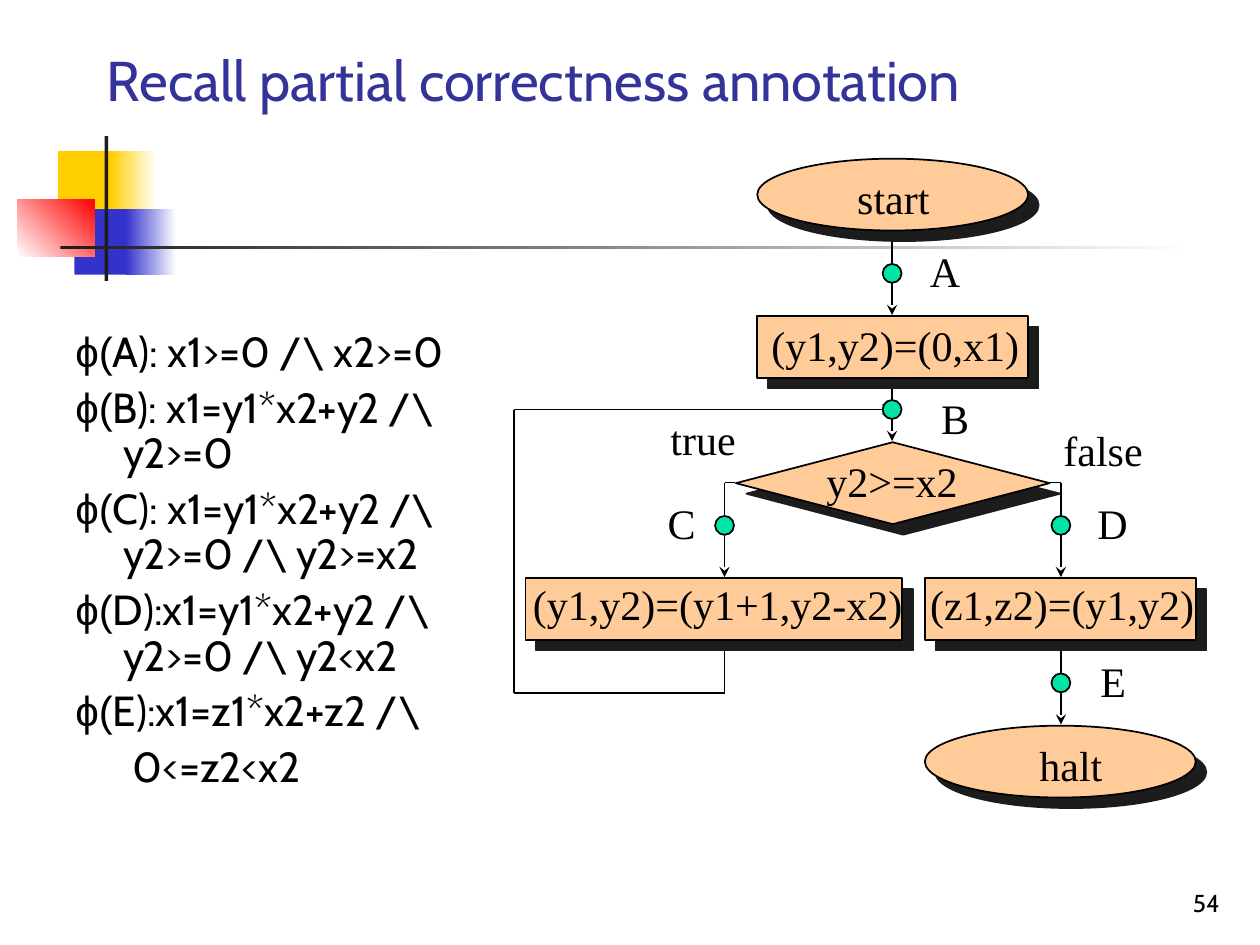
"""Build the slide on partial correctness annotation with its flowchart."""
import lxml.etree
import pptx
import pptx.dml.color
import pptx.enum.shapes
import pptx.enum.text
import pptx.oxml.ns
import pptx.util
from pptx.util import Inches

SHAPE = pptx.enum.shapes.MSO_SHAPE
ALIGN = pptx.enum.text.PP_ALIGN
ANCHOR = pptx.enum.text.MSO_ANCHOR

THEME = {
    "yellow": "FFCF01", "blue": "3333CC", "red": "FF0000", "white": "FFFFFF",
    "dark": "1C1C1C", "black": "000000", "title": "333399", "node": "FFCC99", "dot": "00E4A8",
    "sans": "Cabin", "serif": "Times New Roman", "symbol": "Arial",
    "title_size": 32, "text_size": 24, "number_size": 14,
}

TITLE = "Recall partial correctness annotation"
PAGE_NUMBER = "54"
ASSERTIONS = [
    "A): x1>=0 /\\ x2>=0",
    "B): x1=y1*x2+y2 /\\ y2>=0",
    "C): x1=y1*x2+y2 /\\ y2>=0 /\\ y2>=x2",
    "D):x1=y1*x2+y2 /\\ y2>=0 /\\ y2<x2",
    "E):x1=z1*x2+z2 /\\",
]
LAST_LINE = "0<=z2<x2"

DECORATION = [
    ((0.46, 1.2, 0.48, 0.52), ["yellow"], 0),
    ((0.88, 1.2, 0.36, 0.52), ["yellow", "white"], 0),
    ((0.59, 1.66, 0.46, 0.52), ["blue"], 0),
    ((1, 1.66, 0.4, 0.52), ["blue", "white"], 0),
    ((0.14, 1.58, 0.61, 0.46), ["white", "red"], 45),
    ((0.83, 1.08, 0.03, 1.15), ["dark"], 0),
    ((0.48, 1.95, 9, 0.03), ["dark", "white"], 0),
]

MAIN_X, TRUE_X, FALSE_X, LOOP_X = 7.08, 5.75, 8.42, 4.08
BRANCH_Y, BOX_TOP, BOX_BOTTOM, LOOP_Y = 3.83, 4.58, 5.08, 5.5
ROUTES = [
    ([(MAIN_X, 1.83), (MAIN_X, 2.5)], True),
    ([(MAIN_X, 3), (MAIN_X, 3.5)], True),
    ([(5.83, BRANCH_Y), (TRUE_X, BRANCH_Y), (TRUE_X, BOX_TOP)], True),
    ([(8.33, BRANCH_Y), (FALSE_X, BRANCH_Y), (FALSE_X, BOX_TOP)], True),
    ([(FALSE_X, BOX_BOTTOM), (FALSE_X, 5.75)], True),
    ([(TRUE_X, BOX_BOTTOM), (TRUE_X, LOOP_Y), (LOOP_X, LOOP_Y), (LOOP_X, 3.25), (MAIN_X, 3.25)], True),
]
NODES = [
    (SHAPE.OVAL, (6.01, 1.26, 2.15, 0.57)),
    (SHAPE.RECTANGLE, (6.01, 2.51, 2.15, 0.49)),
    (SHAPE.DIAMOND, (5.84, 3.51, 2.49, 0.65)),
    (SHAPE.RECTANGLE, (4.17, 4.59, 2.99, 0.49)),
    (SHAPE.RECTANGLE, (7.34, 4.59, 2.15, 0.49)),
    (SHAPE.OVAL, (7.34, 5.76, 2.15, 0.57)),
]
DOT = 0.15
DOTS = [(MAIN_X, 2.17), (MAIN_X, 3.25), (TRUE_X, 4.17), (FALSE_X, 4.17), (FALSE_X, 5.42)]
LABELS = [
    ("start", (6.7, 1.32, 0.78, 0.5)),
    ("(y1,y2)=(0,x1)", (6.02, 2.49, 2.17, 0.5)),
    ("y2>=x2", (6.46, 3.57, 1.24, 0.5)),
    ("(y1,y2)=(y1+1,y2-x2)", (4.13, 4.54, 3.13, 0.5)),
    ("(z1,z2)=(y1,y2)", (7.28, 4.54, 2.3, 0.5)),
    ("halt", (8.15, 5.82, 0.7, 0.5)),
    ("true", (5.22, 3.23, 0.72, 0.5)),
    ("false", (8.34, 3.32, 0.83, 0.5)),
    ("A", (7.28, 1.9, 0.44, 0.5)),
    ("B", (7.37, 3.07, 0.42, 0.5)),
    ("C", (5.2, 3.9, 0.42, 0.5)),
    ("D", (8.61, 3.9, 0.44, 0.5)),
    ("E", (8.63, 5.15, 0.41, 0.5)),
]


def color(name):
    return pptx.dml.color.RGBColor.from_string(THEME[name])


def child(parent, tag, **attributes):
    return lxml.etree.SubElement(parent, pptx.oxml.ns.qn(tag), attributes)


def add_shape(page, kind, area, fills, outline=False, angle=0, shadow=False):
    shape = page.shapes.add_shape(kind, *map(Inches, area))
    shape.shadow.inherit = False
    if len(fills) == 1:
        shape.fill.solid()
        shape.fill.fore_color.rgb = color(fills[0])
    else:
        shape.fill.gradient()
        shape.fill.gradient_angle = angle
        for stop, name in zip(shape.fill.gradient_stops, fills):
            stop.color.rgb = color(name)
    if outline:
        shape.line.color.rgb = color("black")
        shape.line.width = pptx.util.Pt(1)
    else:
        shape.line.fill.background()
    if shadow:
        effects = shape.element.spPr.find(pptx.oxml.ns.qn("a:effectLst"))
        cast = child(effects, "a:outerShdw", dist=str(pptx.util.Pt(8.5)), dir="2700000",
                     algn="ctr", rotWithShape="0")
        child(cast, "a:srgbClr", val=THEME["dark"])


def add_route(page, points, arrow):
    for start, end in zip(points, points[1:]):
        line = page.shapes.add_connector(pptx.enum.shapes.MSO_CONNECTOR.STRAIGHT,
                                         *map(Inches, start + end))
        line.line.color.rgb = color("black")
        line.line.width = pptx.util.Pt(1)
        if arrow and end == points[-1]:
            child(line.line._get_or_add_ln(), "a:tailEnd", type="stealth")
        child(line._element.spPr, "a:effectLst")


def add_text(page, paragraphs, area, font="sans", size="text_size", ink="black", align=ALIGN.LEFT,
             anchor=ANCHOR.TOP, wrap=True, line_spacing=None, before=0, indents=None):
    box = page.shapes.add_textbox(*map(Inches, area))
    frame = box.text_frame
    frame.word_wrap = wrap
    frame.vertical_anchor = anchor
    for index, spans in enumerate(paragraphs):
        para = frame.paragraphs[0] if index == 0 else frame.add_paragraph()
        para.alignment = align
        para.space_before = pptx.util.Pt(before)
        if line_spacing:
            para.line_spacing = line_spacing
        if indents:
            margin, first = indents[index]
            properties = para._p.get_or_add_pPr()
            properties.set("marL", str(Inches(margin)))
            properties.set("indent", str(Inches(first)))
        for text, face in spans:
            span = para.add_run()
            span.text = text
            span.font.name = THEME[face or font]
            span.font.size = pptx.util.Pt(THEME[size])
            span.font.color.rgb = color(ink)


def main():
    deck = pptx.Presentation()
    deck.slide_width, deck.slide_height = Inches(10), Inches(7.5)
    page = deck.slides.add_slide(deck.slide_layouts[6])
    for area, fills, angle in DECORATION:
        add_shape(page, SHAPE.RECTANGLE, area, fills, angle=angle)
    add_text(page, [[(PAGE_NUMBER, None)]], (7.7, 6.83, 2.08, 0.5), size="number_size",
             align=ALIGN.RIGHT, anchor=ANCHOR.BOTTOM)
    add_text(page, [[(TITLE, None)]], (0.75, 0, 8.5, 1.25), size="title_size", ink="title",
             anchor=ANCHOR.MIDDLE)
    body = [[("ϕ(", "symbol"), (text, None)] for text in ASSERTIONS] + [[(LAST_LINE, None)]]
    add_text(page, body, (0.5, 2.58, 3.67, 4.17), line_spacing=0.9, before=6,
             indents=[(0.38, -0.38)] * len(ASSERTIONS) + [(0.45, 0)])
    for points, arrow in ROUTES:
        add_route(page, points, arrow)
    for kind, area in NODES:
        add_shape(page, kind, area, ["node"], outline=True, shadow=True)
    for x, y in DOTS:
        add_shape(page, SHAPE.OVAL, (x - DOT / 2, y - DOT / 2, DOT, DOT), ["dot"], outline=True)
    for text, area in LABELS:
        add_text(page, [[(text, None)]], area, font="serif", align=ALIGN.CENTER, wrap=False)
    deck.save("out.pptx")


if __name__ == "__main__":
    main()
